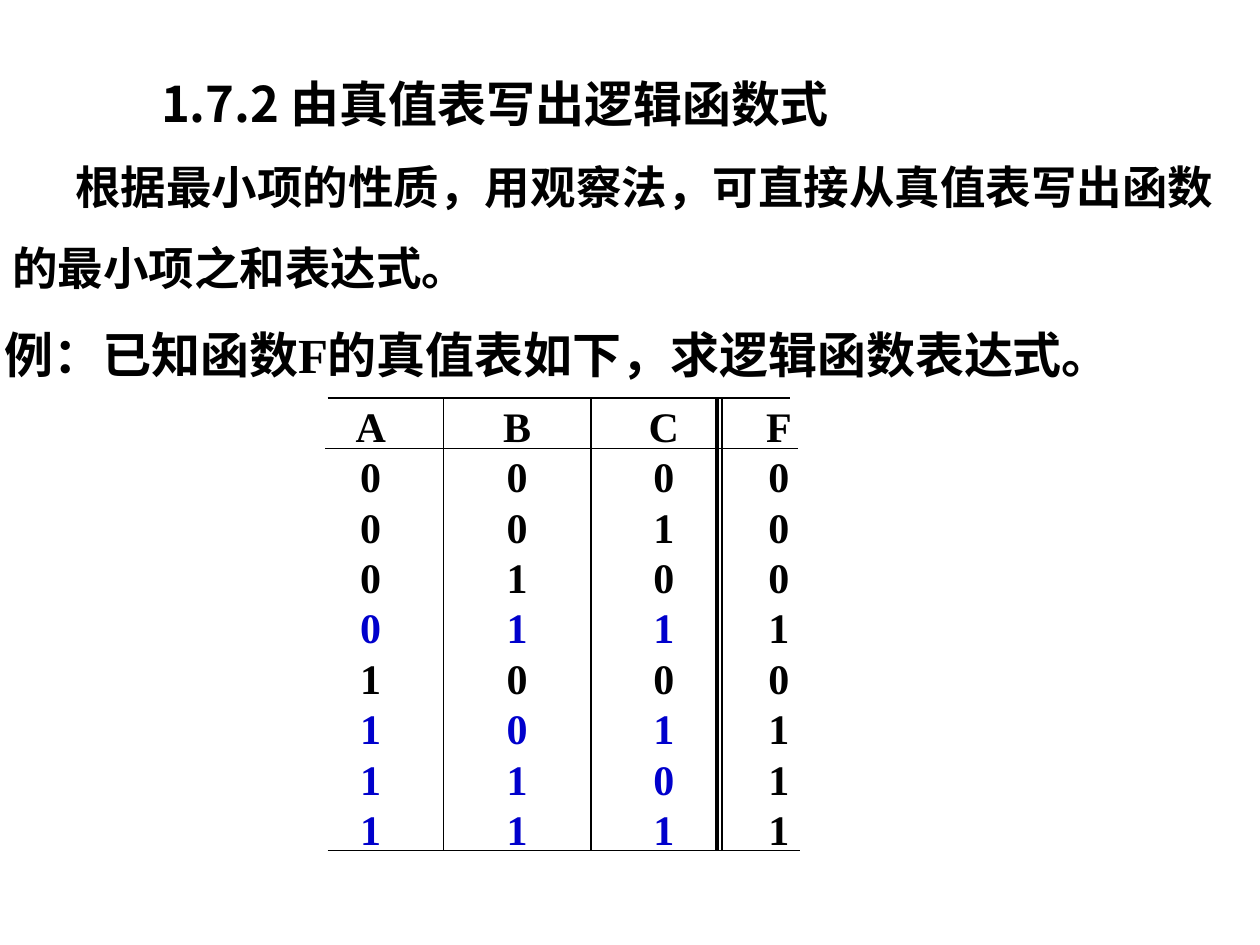
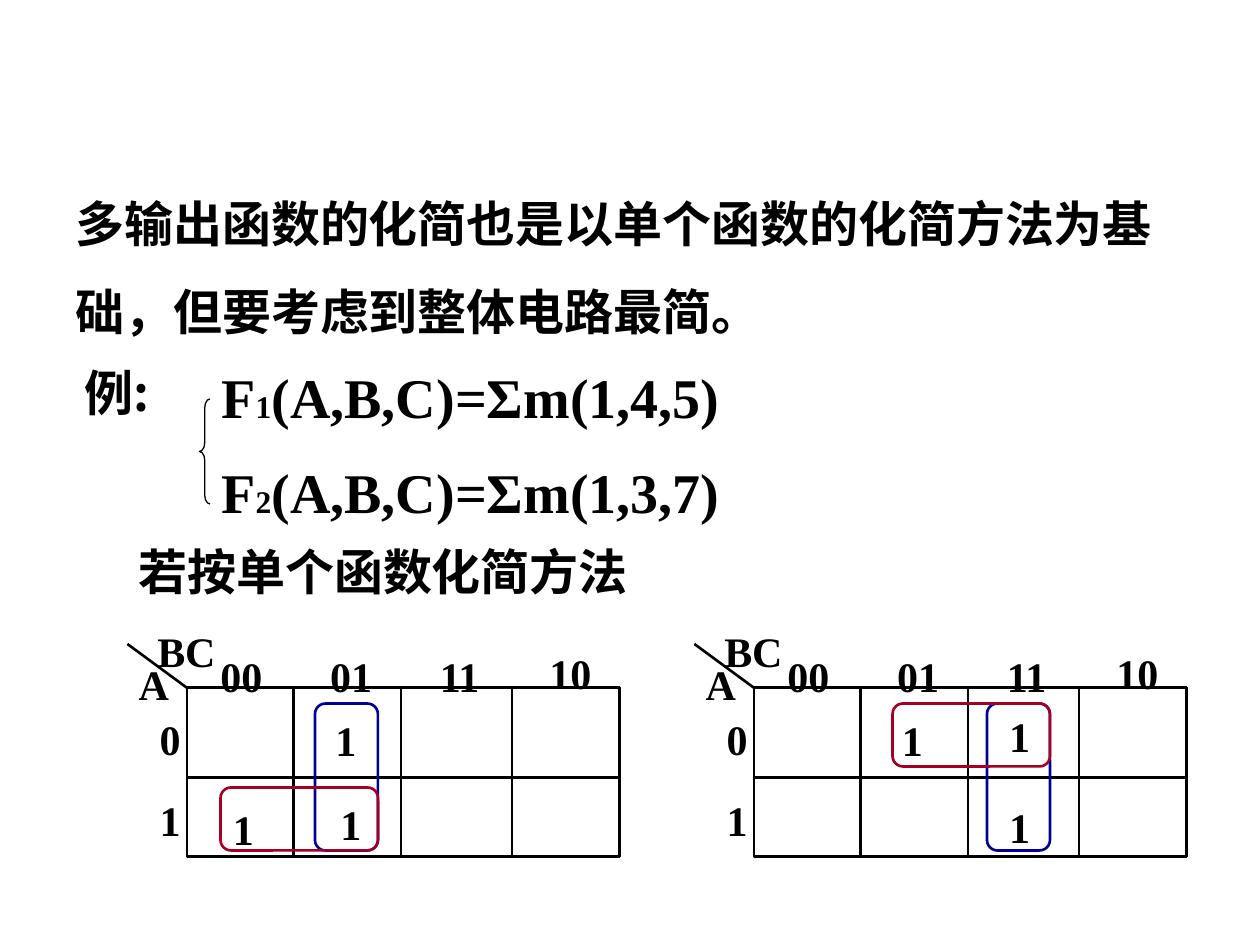
from lxml import etree
from pptx import Presentation
from pptx.dml.color import RGBColor
from pptx.enum.shapes import MSO_CONNECTOR, MSO_SHAPE
from pptx.enum.text import MSO_ANCHOR, PP_ALIGN
from pptx.oxml.ns import qn
from pptx.util import Pt

STRAIGHT = MSO_CONNECTOR.STRAIGHT
RECTANGLE = MSO_SHAPE.RECTANGLE
ROUNDED = MSO_SHAPE.ROUNDED_RECTANGLE
LEFT_BRACE = MSO_SHAPE.LEFT_BRACE
BOTTOM = MSO_ANCHOR.BOTTOM
CENTER = PP_ALIGN.CENTER

CJK = "Noto Sans CJK SC"
SERIF = "Times New Roman"
BLACK, MINTERM_BLUE = "000000", "0000CC"
LOOP_BLUE, LOOP_RED = "000099", "A50021"

TRUTH_ROWS = ["000", "001", "010", "011", "100", "101", "110", "111"]
TRUE_MINTERMS = {3, 5, 6, 7}


def color(value):
    return RGBColor.from_string(value)


class Deck:
    """Holds the presentation, its text style and the slide being filled."""

    def __init__(self):
        self.prs = Presentation()
        self.prs.slide_width, self.prs.slide_height = Pt(720), Pt(540)
        self.slide = None

    def new_slide(self):
        self.slide = self.prs.slides.add_slide(self.prs.slide_layouts[6])

    def style(self, run, size, font=CJK, hue=BLACK):
        run.font.size, run.font.bold, run.font.name = Pt(size), True, font
        run.font.color.rgb = color(hue)
        east_asian = etree.Element(qn("a:ea"), typeface=CJK)
        run.font._element.find(qn("a:latin")).addnext(east_asian)

    def text(self, left, top, width, height, parts, wrap=False, spacing=1.0, indent=0):
        """Add a one-paragraph box; parts are (text, size, font) runs."""
        box = self.slide.shapes.add_textbox(Pt(left), Pt(top), Pt(width), Pt(height))
        box.text_frame.word_wrap = wrap
        paragraph = box.text_frame.paragraphs[0]
        paragraph.line_spacing = spacing
        if indent:
            paragraph._p.get_or_add_pPr().set("indent", str(Pt(indent)))
        for content, size, font in parts:
            run = paragraph.add_run()
            run.text = content
            self.style(run, size, font)

    def label(self, left, top, content, width=None):
        width = width or 14.4 + 12 * len(content)
        self.text(left, top, width, 36, [(content, 24, SERIF)])

    def line(self, x1, y1, x2, y2, weight=1.5):
        rule = self.slide.shapes.add_connector(STRAIGHT, Pt(x1), Pt(y1), Pt(x2), Pt(y2))
        rule.line.color.rgb = color(BLACK)
        rule.line.width = Pt(weight)
        etree.SubElement(rule._element.spPr, qn("a:effectLst"))

    def outline(self, preset, left, top, width, height, hue=BLACK, weight=1.5, corner=None):
        shape = self.slide.shapes.add_shape(preset, Pt(left), Pt(top), Pt(width), Pt(height))
        shape.shadow.inherit = False
        shape.fill.background()
        shape.line.color.rgb = color(hue)
        shape.line.width = Pt(weight)
        if corner is not None:
            shape.adjustments[0] = corner

    def table(self, left, top, widths, row_height, rows, margins, hue_of):
        """Add a plain table; margins are (left, right) per column."""
        frame = self.slide.shapes.add_table(
            len(rows), len(widths), Pt(left), Pt(top), Pt(sum(widths)), Pt(row_height * len(rows)))
        grid = frame.table
        grid.first_row = grid.horz_banding = False
        for column, width in zip(grid.columns, widths):
            column.width = Pt(width)
        for r, values in enumerate(rows):
            grid.rows[r].height = Pt(row_height)
            for c, value in enumerate(values):
                cell = grid.cell(r, c)
                cell.fill.background()
                cell.margin_top = cell.margin_bottom = 0
                cell.margin_left, cell.margin_right = map(Pt, margins[c])
                cell.vertical_anchor = BOTTOM
                cell.text = value
                paragraph = cell.text_frame.paragraphs[0]
                paragraph.alignment = CENTER
                self.style(paragraph.runs[0], 24, SERIF, hue_of(r, c))

    def karnaugh_map(self, left, ones, loops):
        """Draw a 2 x 4 map; ones and loops give offsets from its left edge."""
        top, middle, bottom, width = 393, 444.2, 489.6, 247.2
        self.outline(RECTANGLE, left, top, width, bottom - top)
        self.line(left, middle, left + width, middle)
        for offset in (61, 122.4, 185.8):
            self.line(left + offset, top, left + offset, bottom)
        self.line(left, top, left - 34, top - 25)
        self.label(left - 34.6, 373, "A", 31.7)
        self.label(left - 24, 354.2, "BC", 47.5)
        for value, y in (("0", 404), ("1", 450.7)):
            self.label(left - 22.6, y, value)
        for i, value in enumerate(("00", "01", "11", "10")):
            self.label(left + 12 + 62.7 * i, 366.5 if value == "10" else 367.9, value)
        for offset, y in ones:
            self.label(left + offset, y, "1")
        for offset, y, loop_width, loop_height, hue in loops:
            self.outline(ROUNDED, left + offset, y, loop_width, loop_height, hue, corner=0.167)


def truth_table_slide(deck):
    deck.new_slide()
    deck.text(0, 71.5, 720, 102,
              [("根据最小项的性质，用观察法，可直接从真值表写出函数的最小项之和表达式。", 26, SERIF)],
              wrap=True, spacing=1.5, indent=36)
    deck.text(-4.5, 181.8, 670, 41,
              [("例：已知函数", 28, CJK), ("F", 28, SERIF),
               ("的真值表如下，求逻辑函数表达式。", 28, CJK)])

    outputs = ["1" if m in TRUE_MINTERMS else "0" for m in range(len(TRUTH_ROWS))]
    rows = ["ABCF"] + [inputs + out for inputs, out in zip(TRUTH_ROWS, outputs)]

    def hue_of(row, column):
        return MINTERM_BLUE if row - 1 in TRUE_MINTERMS and column < 3 else BLACK

    left, top, bottom, text_drop = 187.2, 227.5, 486, 1.5
    deck.table(left, top + text_drop, [66.2, 84.3, 73.4, 46.1], (bottom - top) / len(rows), rows,
               [(0, 17), (0, 0), (10, 0), (22, 0)], hue_of)
    for x1, y, x2, weight in ((left, top, 451.4, 1.5), (185.8, 256.3, 455.8, 0.75),
                              (left, bottom, 457.2, 0.75)):
        deck.line(x1, y, x2, y, weight)
    for x, weight in ((253.4, 0.75), (337.7, 0.75), (409.7, 2.25), (412.6, 0.75)):
        deck.line(x, top, x, bottom, weight)

    deck.text(85, 38.2, 410, 41, [("1.7.2 由真值表写出逻辑函数式", 28, CJK)])


def multiple_output_slide(deck):
    deck.new_slide()
    deck.text(36, 90, 653.8, 108,
              [("多输出函数的化简也是以单个函数的化简方法为基础，但要考虑到整体电路最简。", 28, CJK)],
              wrap=True, spacing=1.5)
    deck.text(41, 203.8, 58.3, 41, [("例:", 28, CJK)])
    for index, minterms, y in (("1", "1,4,5", 203.8), ("2", "1,3,7", 257.8)):
        deck.text(119.5, y, 330, 46,
                  [("F", 32, SERIF), (index, 18, SERIF), (f"(A,B,C)=Σm({minterms})", 32, SERIF)])
    deck.outline(LEFT_BRACE, 114, 228, 6, 60, weight=0.75, corner=0.83)
    deck.text(72, 306, 300, 41, [("若按单个函数化简方法", 28, CJK)])

    deck.karnaugh_map(106.8, [(80.6, 452.9), (77.8, 404.6), (19.2, 455.8)],
                      [(73.2, 402, 36, 84, LOOP_BLUE), (19.2, 450, 90, 36, LOOP_RED)])
    deck.karnaugh_map(430.8, [(138.7, 402.5), (138.7, 454.3), (77.5, 404.6)],
                      [(133.2, 402, 36, 84, LOOP_BLUE), (79.2, 402, 90, 36, LOOP_RED)])


def main():
    deck = Deck()
    truth_table_slide(deck)
    multiple_output_slide(deck)
    deck.prs.save("out.pptx")


if __name__ == "__main__":
    main()
